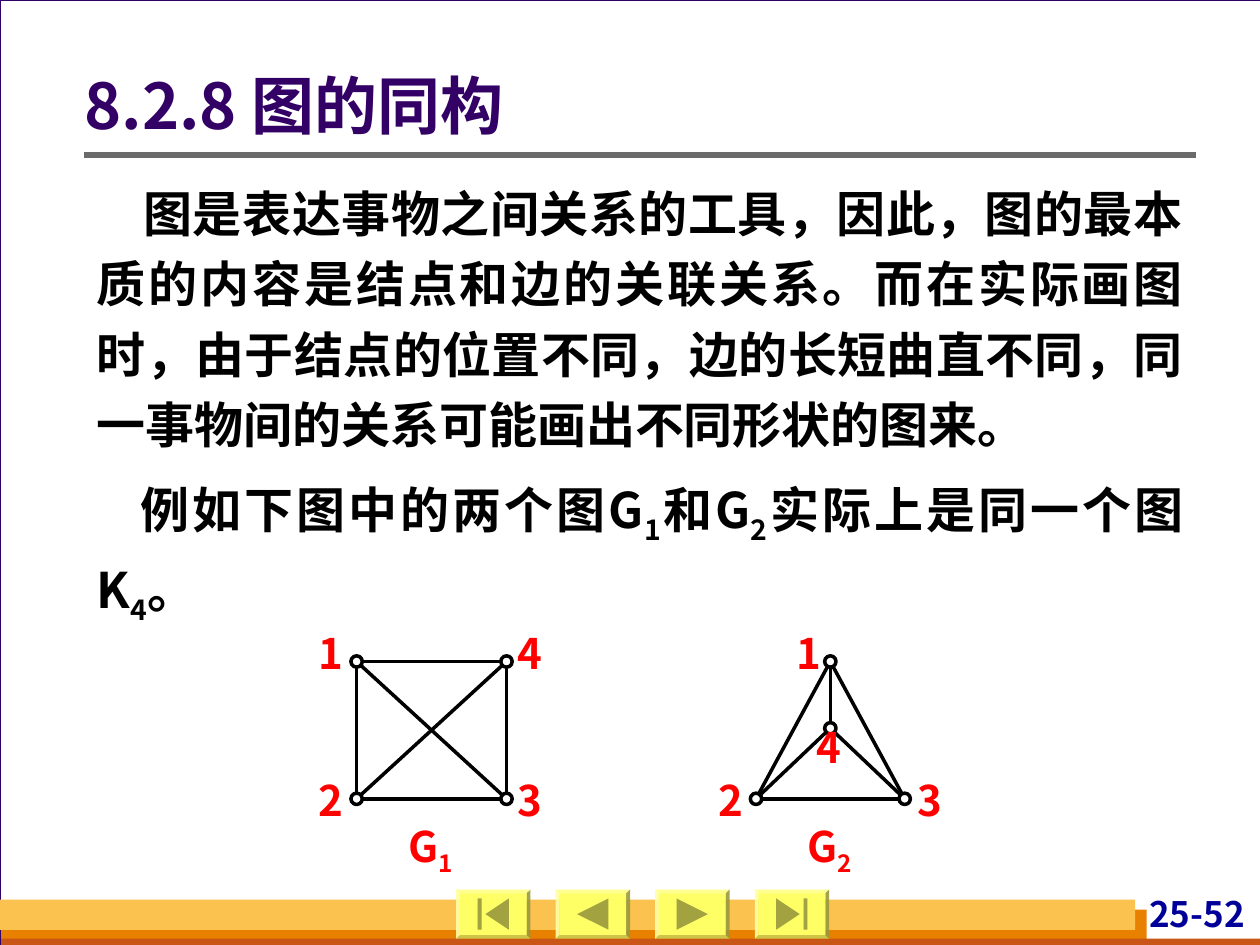
from lxml import etree
from pptx import Presentation, util as u
from pptx.dml.color import RGBColor
from pptx.enum import shapes, text
from pptx.oxml.ns import qn

W, H = 10, 7.5
FONT = "Noto Sans CJK SC"
C = {"page": "D8DADA", "white": "FFFFFF", "purple": "330066", "orange": "E88000",
     "brown": "C95616", "gold": "FCC24F", "navy": "000099", "grey": "6B6B6B",
     "yellow": "FFFF66", "black": "000000", "red": "FF0000"}
LEFT, CONTENT_W = 0.67, 8.82
BUTTON_W, BUTTON_H, EDGE = 0.59, 0.39, 0.03
NODE = 0.09
LABEL_W, LABEL_H = 0.3, 0.47
TOP, BOTTOM = 5.25, 6.34
BODY = [
    ["图是表达事物之间关系的工具，因此，图的最本质的内容是结点和边的关联关系。"
     "而在实际画图时，由于结点的位置不同，边的长短曲直不同，"
     "同一事物间的关系可能画出不同形状的图来。"],
    ["例如下图中的两个图G", "1", "和G", "2", "实际上是同一个图K", "4", "。"],
]


def rgb(name):
    """Look up a colour by name."""
    return RGBColor.from_string(C[name])


def box(*lengths):
    """Turn inches into lengths."""
    return [u.Inches(v) for v in lengths]


def add_shape(s, kind, at, fill, line=None, width=0.75):
    """Add a flat preset shape."""
    sp = s.shapes.add_shape(kind, *box(*at))
    sp.shadow.inherit = False
    sp.fill.solid()
    sp.fill.fore_color.rgb = rgb(fill)
    if line:
        sp.line.color.rgb = rgb(line)
        sp.line.width = u.Pt(width)
    else:
        sp.line.fill.background()
    return sp


def add_line(s, start, end, color="black", width=2):
    """Add a straight line between two points."""
    ln = s.shapes.add_connector(shapes.MSO_CONNECTOR.STRAIGHT, *box(*start, *end))
    ln.line.color.rgb = rgb(color)
    ln.line.width = u.Pt(width)
    etree.SubElement(ln._element.spPr, qn("a:effectLst"))


def write(p, parts, size, color, align=text.PP_ALIGN.LEFT):
    """Fill a paragraph, with every second part as a subscript."""
    for i, part in enumerate(parts):
        r = p.add_run()
        r.text = part
        if i % 2:
            r.font._element.set("baseline", "-25000")
    p.alignment = align
    f = p.font
    f.size, f.bold, f.name = u.Pt(size), True, FONT
    f.color.rgb = rgb(color)
    etree.SubElement(f._element, qn("a:ea"), typeface=FONT)


def add_text(s, at, paragraphs, size, color, align, margins=(0, 0, 0, 0)):
    """Add a wrapped text box and return its frame."""
    tf = s.shapes.add_textbox(*box(*at)).text_frame
    tf.word_wrap = True
    tf.margin_left, tf.margin_top, tf.margin_right, tf.margin_bottom = box(*margins)
    for i, parts in enumerate(paragraphs):
        p = tf.add_paragraph() if i else tf.paragraphs[0]
        write(p, parts, size, color, align)
    return tf


def add_button(s, kind, left, top):
    """Draw a navigation button with a bevelled edge."""
    bevel = add_shape(s, shapes.MSO_SHAPE.BEVEL, (left, top, BUTTON_W, BUTTON_H), "yellow")
    bevel.adjustments[0] = EDGE / BUTTON_H
    face = (left + EDGE, top + EDGE, BUTTON_W - 2 * EDGE, BUTTON_H - 2 * EDGE)
    for sp in (bevel, add_shape(s, kind, face, "yellow")):
        color = sp._element.spPr.find(".//" + qn("a:srgbClr"))
        etree.SubElement(color, qn("a:alpha"), val="90000")


def add_frame(s):
    """Draw the page, footer bands, page number, rule and buttons."""
    rect, kinds = shapes.MSO_SHAPE.RECTANGLE, shapes.MSO_SHAPE
    add_shape(s, rect, (0, 0, W + 0.01, H), "white", "purple")
    for at, fill in [((0.01, 7.22, 9.09, 0.28), "orange"),
                     ((0.01, 7.45, W, 0.08), "brown"),
                     ((0, 7.14, 9.01, 0.24), "gold")]:
        add_shape(s, rect, at, fill)
    add_text(s, (8.7, 7.08, 1.22, 0.38), [["25-52"]], 20, "navy",
             text.PP_ALIGN.RIGHT, (0.04, 0, 0.04, 0))
    add_line(s, (LEFT, 1.23), (LEFT + CONTENT_W, 1.23), "grey", 3)
    buttons = [kinds.ACTION_BUTTON_BEGINNING, kinds.ACTION_BUTTON_BACK_OR_PREVIOUS,
               kinds.ACTION_BUTTON_FORWARD_OR_NEXT, kinds.ACTION_BUTTON_END]
    for i, kind in enumerate(buttons):
        add_button(s, kind, 3.62 + 0.79 * i, 7.06)


def add_title(s):
    """Place and format the title."""
    sp = s.shapes.title
    sp.left, sp.top, sp.width, sp.height = box(LEFT, 0.36, CONTENT_W, 1.01)
    tf = sp.text_frame
    tf.margin_left, tf.vertical_anchor = 0, text.MSO_ANCHOR.MIDDLE
    p = tf.paragraphs[0]
    write(p, ["8.2.8 图的同构"], 36, "purple")
    p.line_spacing = 0.9
    s.shapes._spTree.append(sp._element)


def add_body(s):
    """Write the explanation with indented first lines."""
    tf = add_text(s, (LEFT, 1.31, CONTENT_W, 3.71), BODY, 28, "black",
                  text.PP_ALIGN.JUSTIFY, (0.1, 0.05, 0.1, 0.05))
    for i, p in enumerate(tf.paragraphs):
        p.line_spacing = 1.2
        p.space_before = u.Pt(7 * i)
        pPr = p._p.get_or_add_pPr()
        pPr.set("indent", str(u.Inches(0.37 - 0.02 * i)))
        pPr.set("hangingPunct", "0")


def add_graph(s, nodes, labels, caption, middle):
    """Draw a complete graph with numbered nodes and a caption."""
    points = list(nodes.values())
    for i, start in enumerate(points):
        for end in points[i + 1:]:
            add_line(s, start, end)
    for x, y in points:
        add_shape(s, shapes.MSO_SHAPE.OVAL, (x - NODE / 2, y - NODE / 2, NODE, NODE),
                  "white", "black", 2)
    for name, at in labels.items():
        add_text(s, (*at, LABEL_W, LABEL_H), [[name]], 24, "red", text.PP_ALIGN.CENTER)
    add_text(s, (middle - 0.3, 6.51, 0.59, LABEL_H), [["G", caption]], 24, "red",
             text.PP_ALIGN.CENTER)


def main():
    """Build the slide."""
    prs = Presentation()
    prs.slide_width, prs.slide_height = box(W, H)
    s = prs.slides.add_slide(prs.slide_layouts[5])
    s.background.fill.solid()
    s.background.fill.fore_color.rgb = rgb("page")
    add_frame(s)
    add_title(s)
    add_body(s)
    upper, lower = 4.98, 6.15
    add_graph(s, {"1": (2.83, TOP), "2": (2.83, BOTTOM), "3": (4.02, BOTTOM), "4": (4.02, TOP)},
              {"1": (2.48, upper), "2": (2.48, lower), "3": (4.06, lower), "4": (4.06, upper)},
              "1", 3.42)
    add_graph(s, {"1": (6.59, TOP), "2": (6, BOTTOM), "3": (7.18, BOTTOM), "4": (6.59, 5.78)},
              {"1": (6.27, upper), "2": (5.65, lower), "3": (7.23, lower), "4": (6.43, 5.73)},
              "2", 6.59)
    prs.save("out.pptx")


if __name__ == "__main__":
    main()
